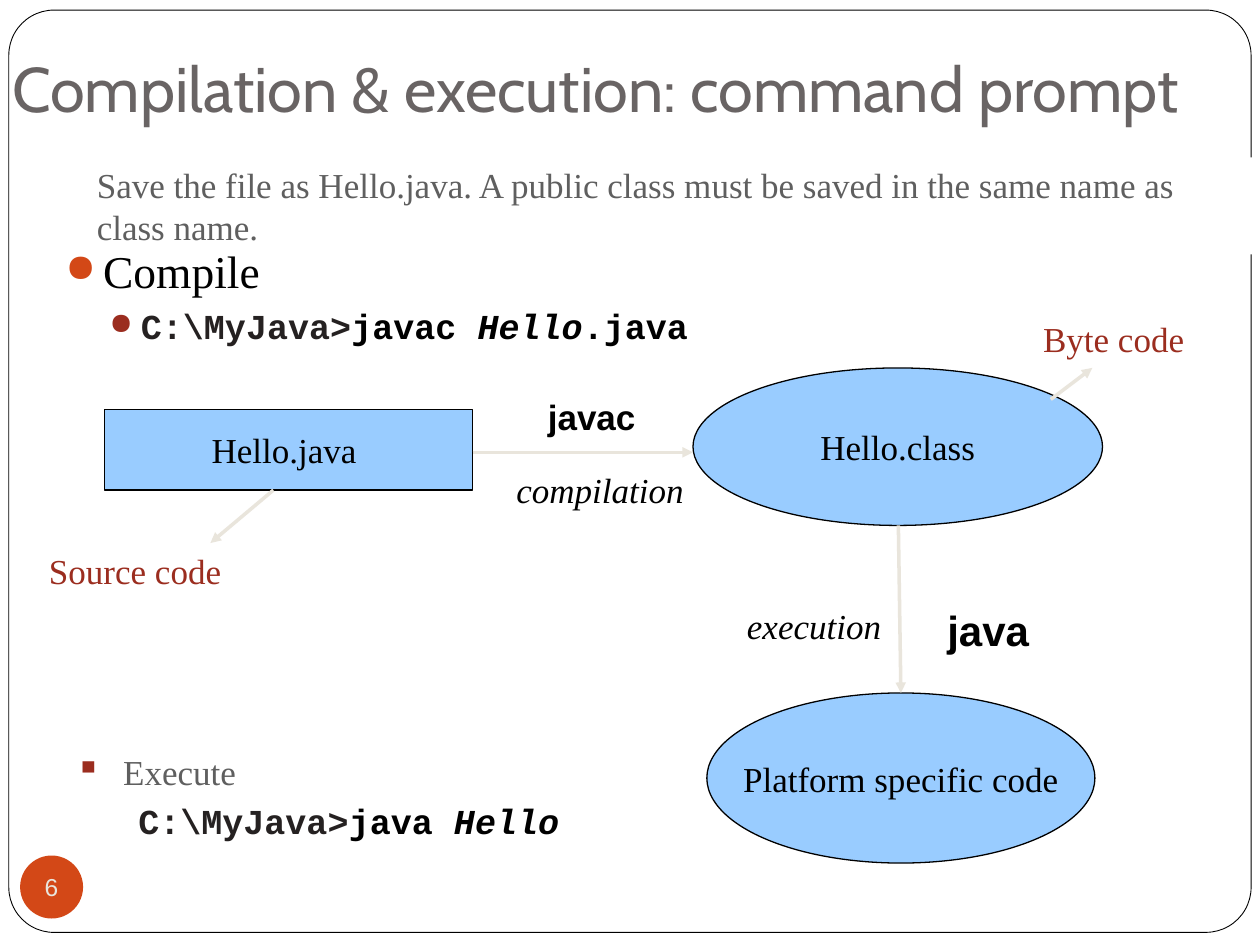
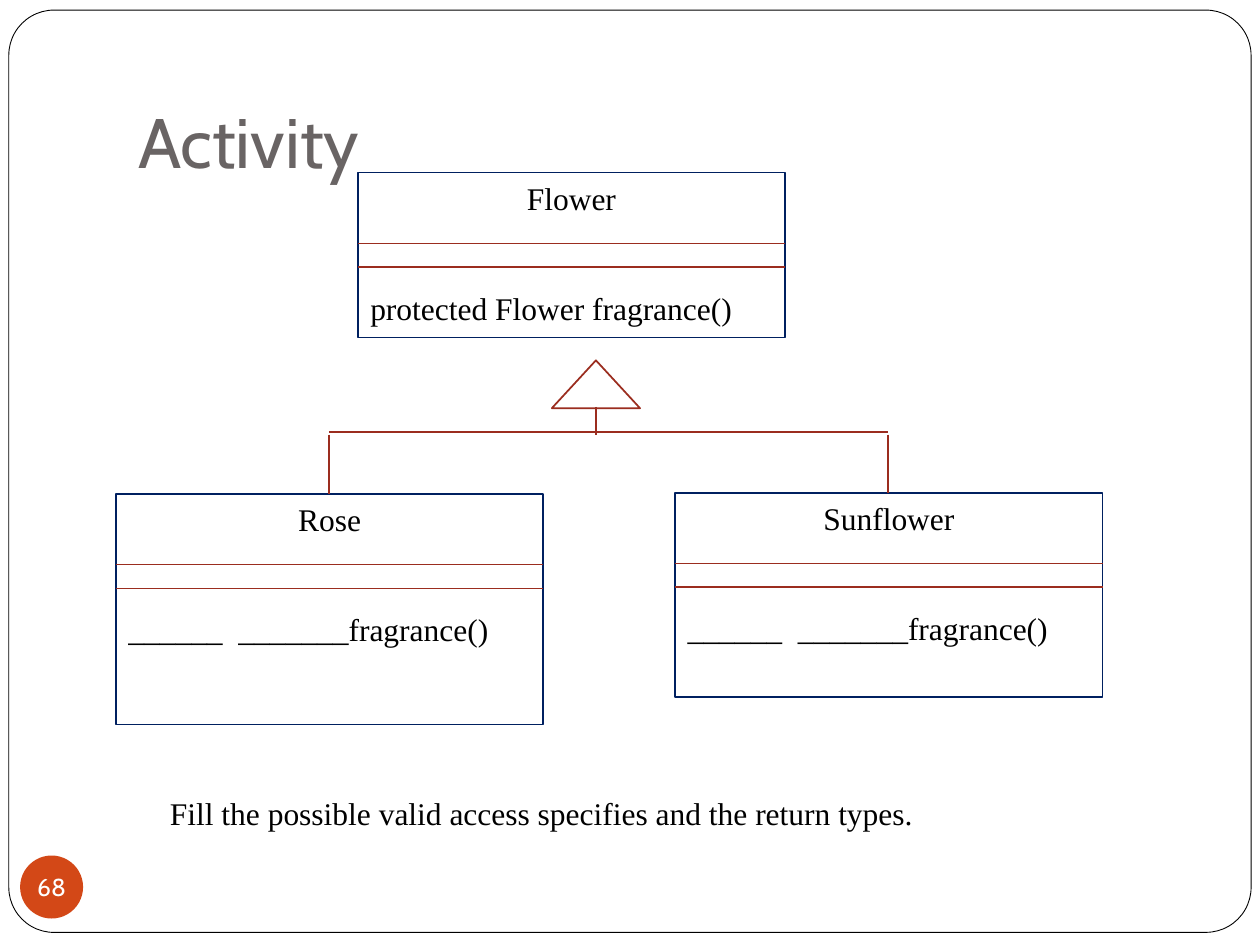
"""Builds two Java lesson slides: compiling from the prompt, and a class diagram activity."""
from lxml.etree import SubElement
from pptx import Presentation
from pptx.dml.color import RGBColor
from pptx.enum.shapes import MSO_CONNECTOR as Link, MSO_SHAPE as Kind
from pptx.enum.text import MSO_ANCHOR as Anchor, MSO_AUTO_SIZE as Fit, PP_ALIGN as Align
from pptx.oxml.ns import qn
from pptx.util import Inches, Pt

COLS, ROWS = 100, 75
SERIF, SANS, MONO, HEAD = "Times New Roman", "Arial", "Courier New", "Cabin"
COLORS = {
    "black": "000000", "white": "FFFFFF", "title": "696464", "orange": "D34817",
    "red": "9B2D1F", "gray": "5F5F5F", "prompt": "252121", "sand": "E9E5DC",
    "sky": "99CCFF", "navy": "002060",
}


def rgb(name):
    return RGBColor.from_string(COLORS[name])


def write(tf, text, size=20, font=SERIF, color="black", bold=False, italic=False,
          align=None, before=None, spacing=None, indent=None, bullet=None, new=True):
    p = tf.paragraphs[-1]
    if new and p.runs:
        p = tf.add_paragraph()
    if align is not None:
        p.alignment = align
    if before is not None:
        p.space_before = Pt(before)
    if spacing is not None:
        p.line_spacing = spacing
    pPr = p._p.get_or_add_pPr()
    if indent:
        left, first = indent
        pPr.set("marL", str(Inches(left)))
        pPr.set("indent", str(Inches(first)))
    if bullet:
        char, tint, share = bullet
        SubElement(SubElement(pPr, qn("a:buClr")), qn("a:srgbClr"), val=COLORS[tint])
        SubElement(pPr, qn("a:buSzPct"), val=str(share * 1000))
        SubElement(pPr, qn("a:buChar"), char=char)
    r = p.add_run()
    r.text = text
    r.font.size, r.font.name = Pt(size), font
    r.font.bold, r.font.italic = bold, italic
    r.font.color.rgb = rgb(color)


class Deck:
    def __init__(self):
        self.prs = Presentation()
        self.prs.slide_width, self.prs.slide_height = Inches(10), Inches(7.5)
        self.s = None

    def place(self, x, y):
        return int(self.prs.slide_width * x / COLS), int(self.prs.slide_height * y / ROWS)

    def box(self, at):
        return self.place(*at[:2]) + self.place(*at[2:])

    def shape(self, kind, at, fill=None, line=None, width=0.75):
        sp = self.s.shapes.add_shape(kind, *self.box(at))
        sp.shadow.inherit = False
        if fill:
            sp.fill.solid()
            sp.fill.fore_color.rgb = rgb(fill)
        else:
            sp.fill.background()
        if line:
            sp.line.color.rgb = rgb(line)
            sp.line.width = Pt(width)
        else:
            sp.line.fill.background()
        tf = sp.text_frame
        tf.word_wrap, tf.vertical_anchor = True, Anchor.TOP
        tf.paragraphs[0].alignment = Align.LEFT
        return sp

    def node(self, kind, at, text):
        tf = self.shape(kind, at, "sky", "black").text_frame
        tf.word_wrap, tf.vertical_anchor = False, Anchor.MIDDLE
        write(tf, text, align=Align.CENTER)

    def frame(self, at, wrap=True):
        tf = self.s.shapes.add_textbox(*self.box(at)).text_frame
        tf.word_wrap = wrap
        return tf

    def label(self, at, text, wrap=False, **fmt):
        tf = self.frame(at, wrap)
        tf.auto_size = Fit.SHAPE_TO_FIT_TEXT
        write(tf, text, **fmt)

    def line(self, start, end, color="red", width=1, arrow=False):
        c = self.s.shapes.add_connector(
            Link.STRAIGHT, *self.place(*start), *self.place(*end))
        c.line.color.rgb = rgb(color)
        c.line.width = Pt(width)
        if arrow:
            SubElement(c.line._get_or_add_ln(), qn("a:tailEnd"), type="triangle")
        SubElement(c._element.spPr, qn("a:effectLst"))

    def arrow(self, start, end):
        self.line(start, end, "sand", 2, arrow=True)

    def slide(self, title, at, size, number, font, color):
        self.s = self.prs.slides.add_slide(self.prs.slide_layouts[6])
        border = self.shape(Kind.ROUNDED_RECTANGLE, (0.7, 0.8, 98.6, 73.2),
                            "white", "black", 0.5)
        border.adjustments[0] = 0.049
        tf = self.frame(at)
        tf.vertical_anchor, tf.margin_bottom = Anchor.BOTTOM, Inches(0.1)
        write(tf, title, size=size, font=HEAD, color="title")
        tf = self.shape(Kind.OVAL, (1.6, 67.9, 5, 5), "orange").text_frame
        tf.margin_left = tf.margin_right = tf.margin_top = tf.margin_bottom = 0
        tf.word_wrap, tf.vertical_anchor = False, Anchor.MIDDLE
        write(tf, number, size=14, font=font, color=color, align=Align.CENTER)

    def command(self, tf, parts, **fmt):
        styles = (("prompt", False), ("black", False), ("black", True), ("black", False))
        for i, (text, (color, italic)) in enumerate(zip(parts, styles)):
            write(tf, text, font=MONO, bold=True, color=color, italic=italic,
                  new=i == 0, **(fmt if i == 0 else {}))

    def uml_class(self, x, y, height, name, method):
        width = 33.9
        tf = self.shape(Kind.RECTANGLE, (x, y, width, height),
                        "white", "navy", 1).text_frame
        write(tf, name, size=18, align=Align.CENTER)
        write(tf, method, size=18, align=Align.LEFT, before=41.4)
        for drop in (5.6, 7.5):
            self.line((x, y + drop), (x + width, y + drop), width=0.75)


def compile_slide(d):
    d.slide("Compilation & execution: command prompt", (0, 1.7, 100, 9.2), 36,
            "6", SANS, "sand")
    tf = d.frame((4.2, 18.8, 92.5, 10.8))
    write(tf, "Compile", size=26, before=5.8, indent=(0.3, -0.3),
          bullet=("●", "orange", 85))
    d.command(tf, ("C:\\MyJava>", "javac ", "Hello", ".java"), before=3.7,
              indent=(0.6, -0.25), bullet=("●", "red", 85))
    tf = d.frame((5, 57.7, 43.3, 10.8))
    write(tf, "Execute", color="gray", before=4, spacing=1.4, indent=(0.38, -0.38),
          bullet=("▪", "red", 100))
    d.command(tf, ("C:\\MyJava>", "java ", "Hello"), before=4, indent=(0.5, 0))

    d.node(Kind.RECTANGLE, (8.3, 32.5, 29.2, 6.4), "Hello.java ")
    d.node(Kind.OVAL, (55, 29.2, 32.5, 12.5), "Hello.class")
    d.node(Kind.OVAL, (56.1, 55, 30.8, 13.5), "Platform specific code")
    for start, end in (((37.5, 35.9), (55, 35.9)), ((21.7, 38.9), (16.7, 43.1)),
                       ((83.4, 31.7), (86.7, 29.2)), ((71.3, 41.7), (71.5, 55))):
        d.arrow(start, end)
    d.label((42.5, 30.9, 9, 4.4), "javac", font=SANS, bold=True)
    d.label((74.2, 47.5, 8.5, 5), "java", size=24, font=SANS, bold=True)
    d.label((40, 36.7, 21.7, 4.4), "compilation", wrap=True, italic=True)
    d.label((58.3, 47.5, 14.2, 4.4), "execution", wrap=True, italic=True)
    d.label((81.8, 24.7, 14.5, 4.4), "Byte code", color="red")
    d.label((2.9, 43.1, 17.8, 4.4), "Source code", color="red")
    note = d.shape(Kind.RECTANGLE, (6.7, 12.5, 93.3, 7.7), "white")
    write(note.text_frame, "Save the file as Hello.java. A public class must be saved "
          "in the same name as class name.", color="gray")


def activity_slide(d):
    d.slide("Activity", (10, 3, 85, 12.5), 40, "68", HEAD, "white")
    blank = "______  _______fragrance()"
    d.uml_class(28.4, 13.7, 13.1, "Flower", "protected Flower fragrance()")
    d.uml_class(9.2, 39.2, 18.3, "Rose", blank)
    d.uml_class(53.6, 39.1, 16.2, "Sunflower", blank)
    d.shape(Kind.ISOSCELES_TRIANGLE, (43.8, 28.6, 7, 3.8), None, "red", 1)
    rose, stem, sunflower, bar = 26.1, 47.3, 70.5, 34.3
    d.line((stem, 32.3), (stem, 34.5))
    d.line((rose, bar), (sunflower, bar))
    for x, top in ((rose, 39.2), (sunflower, 39.1)):
        d.line((x, 34.5), (x, top))
    d.label((12.5, 62.5, 78.3, 4),
            "Fill the possible valid access specifies and the return types.",
            wrap=True, size=18)


def main():
    d = Deck()
    compile_slide(d)
    activity_slide(d)
    d.prs.save("out.pptx")


if __name__ == "__main__":
    main()
